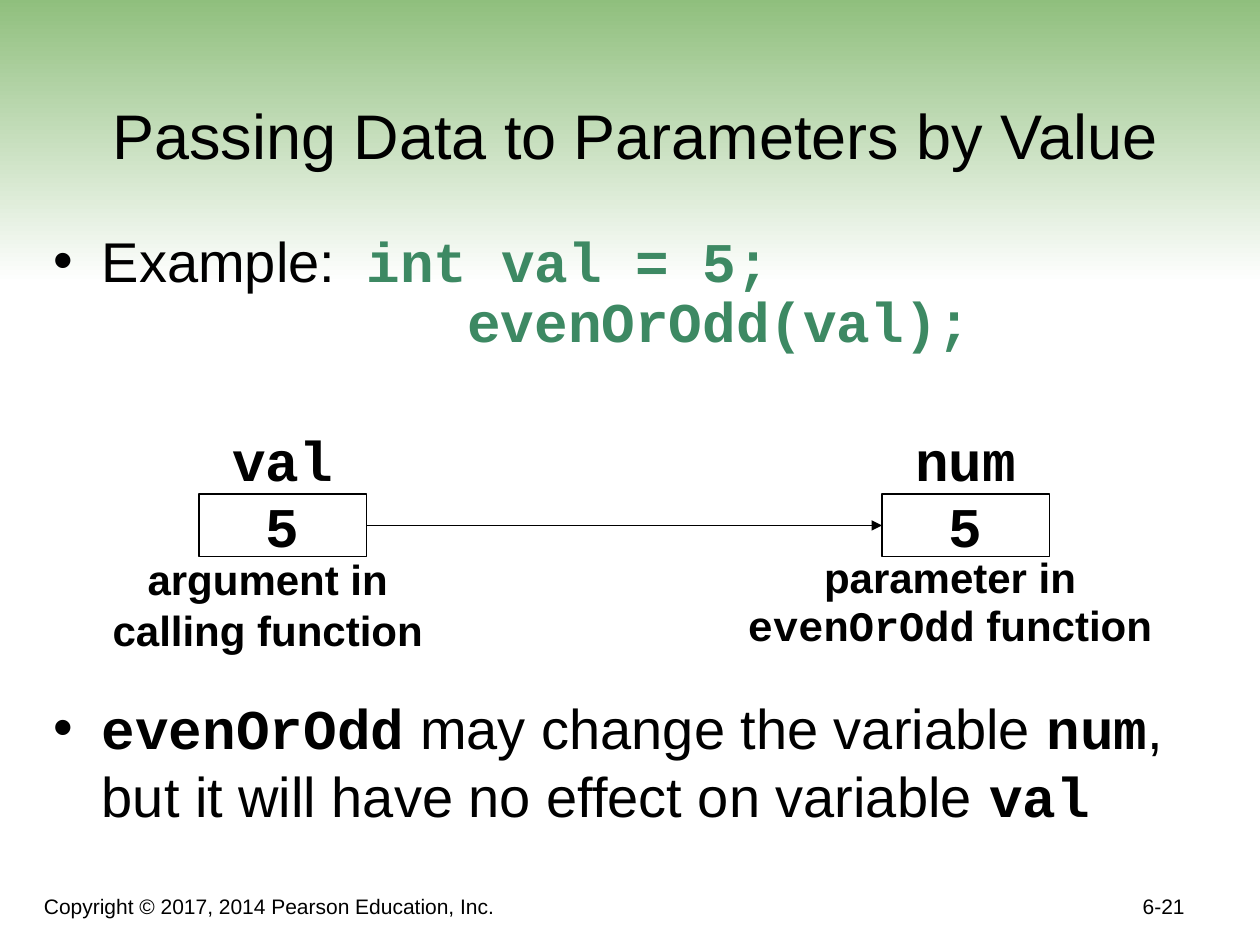
"""Build the slide on passing data to parameters by value."""
from typing import NamedTuple

from lxml.etree import SubElement
from pptx import Presentation
from pptx.dml.color import RGBColor
from pptx.enum.shapes import MSO_CONNECTOR, MSO_SHAPE
from pptx.enum.text import MSO_ANCHOR as Anchor, PP_ALIGN as Align
from pptx.oxml.ns import qn
from pptx.util import Inches, Pt

COLORS = {"black": "000000", "code": "3D8963", "green": "8CBD79", "white": "FFFFFF"}
SANS, MONO = "Arial", "Courier New"
NAME_TOP, BOX_TOP, BOX_WIDTH, BOX_HEIGHT = 3.33, 3.92, 1.33, 0.5


class Words(NamedTuple):
    text: str
    font: str = SANS
    bold: bool = False
    color: str = "black"


class Variable(NamedTuple):
    name: str
    left: float
    caption: list[list[Words]]
    caption_left: float
    caption_width: float
    caption_spacing: float


def code(text: str, color: str = "black") -> Words:
    return Words(text, MONO, True, color)


def rgb(name: str) -> RGBColor:
    return RGBColor.from_string(COLORS[name])


def write(paragraph, words: list[Words], size: float, align=Align.LEFT) -> None:
    paragraph.alignment = align
    for part in words:
        run = paragraph.add_run()
        run.text = part.text
        run.font.name, run.font.size, run.font.bold = part.font, Pt(size), part.bold
        run.font.color.rgb = rgb(part.color)


def add_text(slide, left: float, top: float, width: float, height: float,
             lines: list[list[Words]], size: float, align=Align.LEFT, anchor=Anchor.TOP):
    frame = slide.shapes.add_textbox(*map(Inches, (left, top, width, height))).text_frame
    frame.word_wrap, frame.vertical_anchor = True, anchor
    for index, words in enumerate(lines):
        paragraph = frame.add_paragraph() if index else frame.paragraphs[0]
        write(paragraph, words, size, align)
    return frame


def indent(paragraph, margin: float, first: float, bullet: bool = False) -> None:
    props = paragraph._p.get_or_add_pPr()
    props.set("marL", str(Inches(margin)))
    props.set("indent", str(Inches(first)))
    if bullet:
        SubElement(props, qn("a:buFont")).set("typeface", SANS)
        SubElement(props, qn("a:buChar")).set("char", "•")


def add_band(slide) -> None:
    band = slide.shapes.add_shape(MSO_SHAPE.RECTANGLE, 0, Inches(-0.08), Inches(10), Inches(2.33))
    band.shadow.inherit = False
    band.line.fill.background()
    band.fill.gradient()
    band.fill.gradient_angle = 270
    for stop, name in zip(band.fill.gradient_stops, ("green", "white")):
        stop.color.rgb = rgb(name)


def add_title(slide, text: str) -> None:
    title = slide.shapes.title
    title.left, title.top, title.width, title.height = map(Inches, (0.33, 0.33, 9.42, 1.09))
    title.text_frame.vertical_anchor = Anchor.BOTTOM
    write(title.text_frame.paragraphs[0], [Words(text)], 36, Align.CENTER)


def add_body(slide) -> None:
    frame = add_text(slide, 0.33, 1.75, 9.07, 5, [
        [Words("Example:  "), code("int val = 5;", "code")],
        [code("evenOrOdd(val);", "code")],
        [code("evenOrOdd"), Words(" may change the variable "), code("num"),
         Words(", but it will have no effect on variable "), code("val")],
    ], 32)
    frame.margin_right = 0
    example, call, effect = frame.paragraphs
    call.line_spacing = 0.9
    effect.space_before = Pt(194)
    indent(example, 0.38, -0.38, bullet=True)
    indent(call, 3.28, 0)
    indent(effect, 0.38, -0.38, bullet=True)


def add_variable(slide, variable: Variable, value: str) -> None:
    box = slide.shapes.add_shape(MSO_SHAPE.RECTANGLE, *map(
        Inches, (variable.left, BOX_TOP, BOX_WIDTH, BOX_HEIGHT)))
    box.shadow.inherit = False
    box.fill.background()
    box.line.color.rgb, box.line.width = rgb("black"), Pt(0.75)
    frame = box.text_frame
    frame.word_wrap, frame.vertical_anchor = False, Anchor.MIDDLE
    write(frame.paragraphs[0], [code(value)], 32, Align.CENTER)
    add_text(slide, variable.left, NAME_TOP, BOX_WIDTH, 0.64,
             [[code(variable.name)]], 32, Align.CENTER)
    caption = add_text(slide, variable.caption_left, BOX_TOP + BOX_HEIGHT, variable.caption_width,
                       0.83, variable.caption, 24, Align.CENTER)
    for paragraph in caption.paragraphs:
        paragraph.line_spacing = variable.caption_spacing
    caption.paragraphs[1].space_before = Pt(6)


def add_arrow(slide, start: float, end: float, y: float) -> None:
    arrow = slide.shapes.add_connector(
        MSO_CONNECTOR.STRAIGHT, *map(Inches, (start, y, end, y)))
    arrow.line.color.rgb, arrow.line.width = rgb("black"), Pt(0.75)
    SubElement(arrow.line._get_or_add_ln(), qn("a:tailEnd")).set("type", "triangle")
    SubElement(arrow._element.spPr, qn("a:effectLst"))


def main() -> None:
    deck = Presentation()
    deck.slide_width, deck.slide_height = Inches(10), Inches(7.5)
    slide = deck.slides.add_slide(deck.slide_layouts[5])
    argument = Variable("val", 1.58, [
        [Words("argument in", bold=True)], [Words("calling function", bold=True)],
    ], 0.75, 2.75, 0.8)
    parameter = Variable("num", 7, [
        [Words("parameter in", bold=True)],
        [code("evenOrOdd"), Words(" function", bold=True)],
    ], 5.75, 3.58, 0.75)
    add_band(slide)
    slide.shapes._spTree.append(slide.shapes.title._element)
    add_title(slide, "Passing Data to Parameters by Value")
    add_body(slide)
    for variable in (argument, parameter):
        add_variable(slide, variable, "5")
    add_arrow(slide, argument.left + BOX_WIDTH, parameter.left, BOX_TOP + BOX_HEIGHT / 2)
    add_text(slide, 0.25, 6.92, 6.75, 0.42,
             [[Words("Copyright © 2017, 2014 Pearson Education, Inc.")]], 12, anchor=Anchor.BOTTOM)
    add_text(slide, 7.42, 6.84, 2.08, 0.5, [[Words("6-21")]], 12, Align.RIGHT, Anchor.BOTTOM)
    deck.save("out.pptx")


if __name__ == "__main__":
    main()
